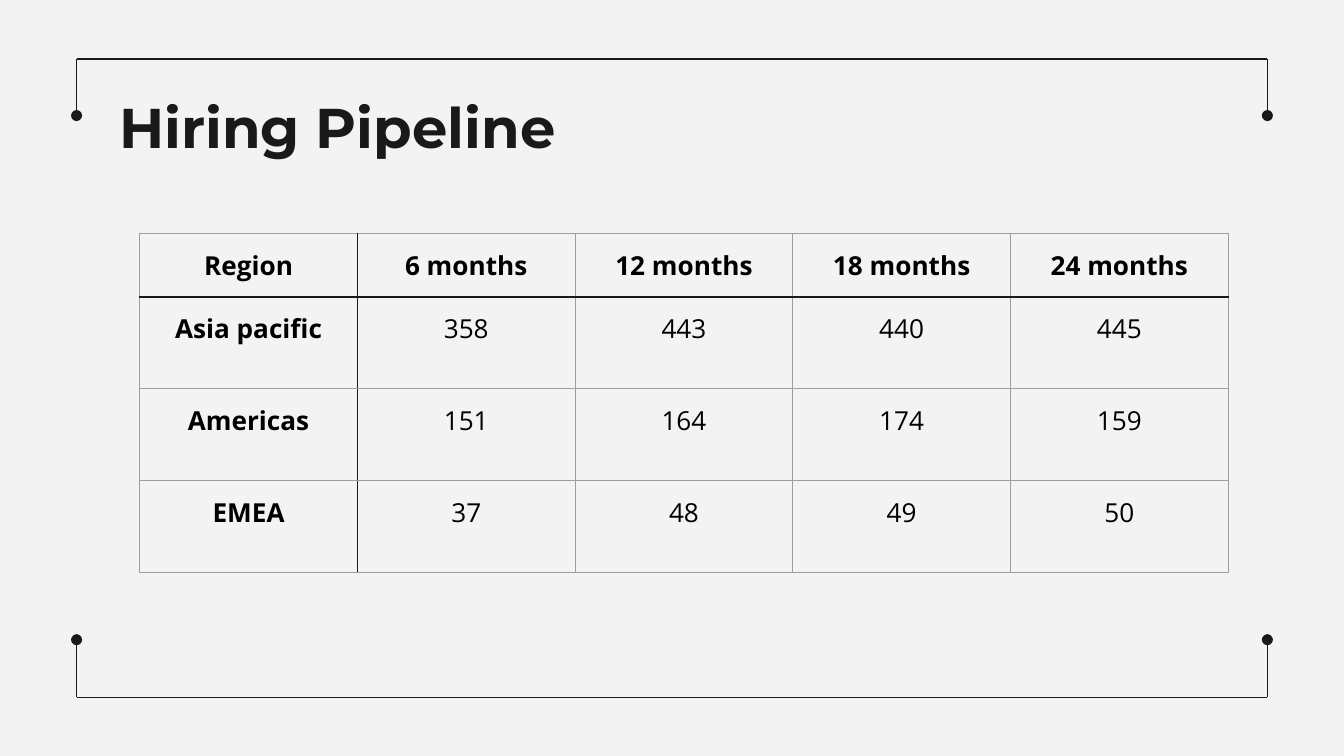
from typing import NamedTuple

from lxml.etree import SubElement
from pptx import Presentation
from pptx.dml.color import RGBColor
from pptx.enum.shapes import MSO_CONNECTOR
from pptx.enum.text import MSO_ANCHOR, PP_ALIGN
from pptx.oxml.ns import qn
from pptx.util import Inches, Pt

INK, GREY, BLACK, PAPER = "191919", "9E9E9E", "000000", "F3F3F3"
RULE_WIDTH = Pt(0.75)
INSET = Inches(0.1)

FRAME_LEFT, FRAME_RIGHT = 0.57, 9.43

TABLE_LEFT, TABLE_TOP = 1.04, 1.74
TABLE_HEIGHT, HEADER_HEIGHT = 2.52, 0.47
COLUMN_WIDTH = 1.62
PIPELINE = (
    ("Region", "6 months", "12 months", "18 months", "24 months"),
    ("Asia pacific", "358", "443", "440", "445"),
    ("Americas", "151", "164", "174", "159"),
    ("EMEA", "37", "48", "49", "50"),
)


class Bracket(NamedTuple):
    """A horizontal rule whose two ends turn towards the slide's middle."""
    rule_y: float
    dot_y: float


BRACKETS = (Bracket(0.44, 0.86), Bracket(5.19, 4.76))


def color(value: str) -> RGBColor:
    return RGBColor.from_string(value)


def write_text(frame, text: str, *, font: str, size: float, fill: str,
               bold: bool = False, align=PP_ALIGN.LEFT) -> None:
    paragraph = frame.paragraphs[0]
    paragraph.alignment = align
    run = paragraph.add_run()
    run.text = text
    run.font.name = font
    run.font.size = Pt(size)
    run.font.bold = bold
    run.font.color.rgb = color(fill)


def add_line(slide, start: tuple[float, float], end: tuple[float, float],
             dotted_end: bool = False) -> None:
    """Draw a frame line, with a round dot at its end if asked."""
    line = slide.shapes.add_connector(
        MSO_CONNECTOR.STRAIGHT, *map(Inches, start + end))
    line.line.color.rgb = color(INK)
    line.line.width = RULE_WIDTH
    if dotted_end:
        SubElement(line.line._get_or_add_ln(), qn("a:tailEnd"),
                   type="oval", w="med", len="med")
    SubElement(line._element.spPr, qn("a:effectLst"))


def add_bracket(slide, bracket: Bracket) -> None:
    add_line(slide, (FRAME_LEFT, bracket.rule_y), (FRAME_RIGHT, bracket.rule_y))
    for x in (FRAME_LEFT, FRAME_RIGHT):
        add_line(slide, (x, bracket.rule_y), (x, bracket.dot_y), dotted_end=True)


def add_title(slide, text: str) -> None:
    box = slide.shapes.add_textbox(
        Inches(0.79), Inches(0.59), Inches(7.73), Inches(0.63))
    frame = box.text_frame
    frame.word_wrap = True
    frame.vertical_anchor = MSO_ANCHOR.TOP
    frame.margin_left = frame.margin_right = INSET
    frame.margin_top = frame.margin_bottom = INSET
    write_text(frame, text, font="Montserrat", size=30, fill=INK, bold=True)


def set_borders(cell, **sides: str) -> None:
    """Colour the cell's edges, named by their XML tags in schema order."""
    properties = cell._tc.get_or_add_tcPr()
    for position, (tag, value) in enumerate(sides.items()):
        edge = properties.makeelement(qn(f"a:{tag}"), {"w": str(int(RULE_WIDTH))})
        fill = SubElement(edge, qn("a:solidFill"))
        SubElement(fill, qn("a:srgbClr"), val=value)
        properties.insert(position, edge)


def add_pipeline_table(slide) -> None:
    rows, columns = len(PIPELINE), len(PIPELINE[0])
    table = slide.shapes.add_table(
        rows, columns, Inches(TABLE_LEFT), Inches(TABLE_TOP),
        Inches(columns * COLUMN_WIDTH), Inches(TABLE_HEIGHT)).table
    body_height = (TABLE_HEIGHT - HEADER_HEIGHT) / (rows - 1)
    for column in table.columns:
        column.width = Inches(COLUMN_WIDTH)
    for i, values in enumerate(PIPELINE):
        table.rows[i].height = Inches(body_height if i else HEADER_HEIGHT)
        for j, value in enumerate(values):
            cell = table.cell(i, j)
            cell.fill.background()
            cell.margin_left = cell.margin_right = INSET
            cell.margin_top = cell.margin_bottom = INSET
            write_text(cell.text_frame, value, font="Open Sans", size=14,
                       fill=BLACK, bold=i == 0 or j == 0,
                       align=PP_ALIGN.CENTER)
            set_borders(cell,
                        lnL=INK if j == 1 else GREY,
                        lnR=INK if j == 0 else GREY,
                        lnT=INK if i == 1 else GREY,
                        lnB=INK if i == 0 else GREY)


def main() -> None:
    presentation = Presentation()
    presentation.slide_width = Inches(10)
    presentation.slide_height = Inches(10 * 9 / 16)
    slide = presentation.slides.add_slide(presentation.slide_layouts[6])
    slide.background.fill.solid()
    slide.background.fill.fore_color.rgb = color(PAPER)
    for bracket in BRACKETS:
        add_bracket(slide, bracket)
    add_title(slide, "Hiring Pipeline")
    add_pipeline_table(slide)
    presentation.save("out.pptx")


if __name__ == "__main__":
    main()
